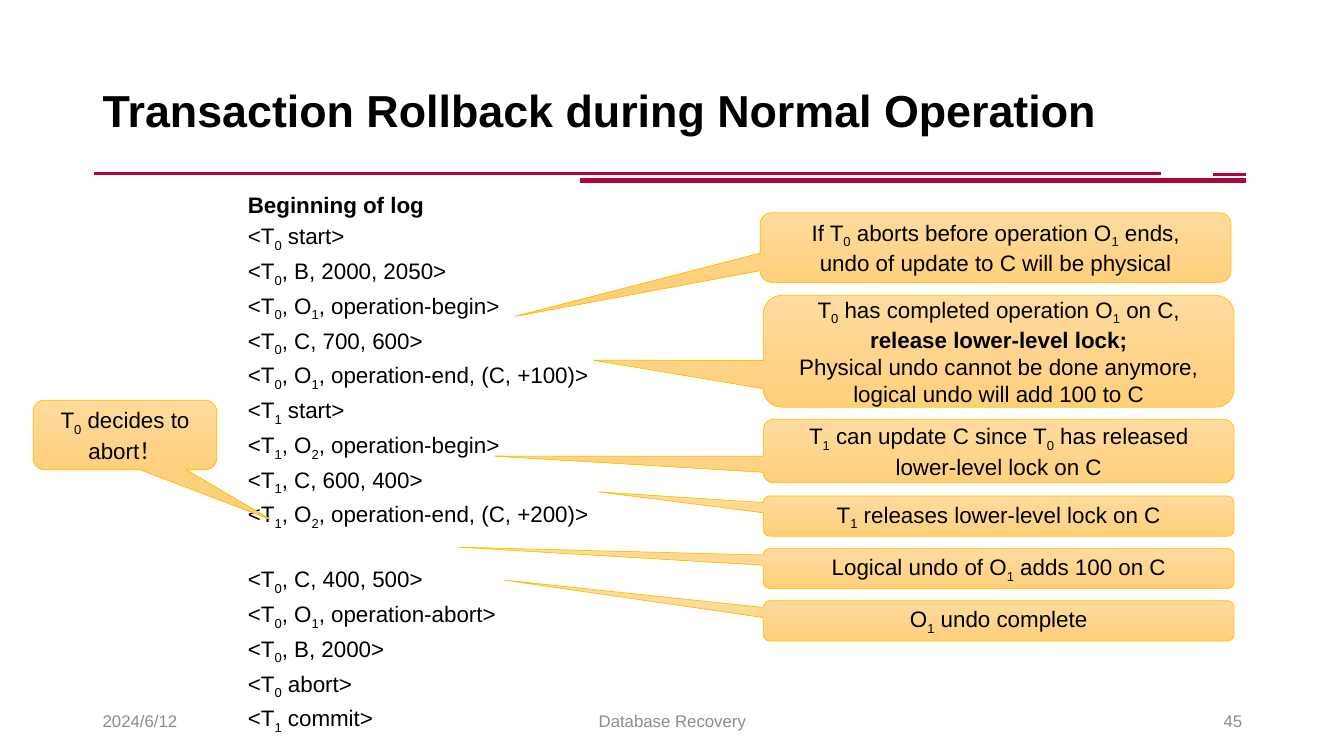
from pptx import Presentation
from pptx.dml.color import RGBColor as RGB
from pptx.enum.shapes import MSO_CONNECTOR as LINE, MSO_SHAPE as SHAPE
from pptx.enum.text import MSO_ANCHOR as ANCHOR, PP_ALIGN as ALIGN
from pptx.oxml.ns import qn
from pptx.util import Inches, Pt
from lxml import etree

RULES = [
    (0.93, 11.52, 1.72, 2),
    (5.75, 12.36, 1.79, 4),
    (12.03, 12.36, 1.73, 2),
]
FOOTER = [
    ("2024/6/12", 0.92, 3, ALIGN.LEFT),
    ("Database Recovery", 4.42, 4.5, ALIGN.CENTER),
    ("45", 9.42, 3, ALIGN.RIGHT),
]
LOG = [
    "Beginning of log",
    "<T_0 start>",
    "<T_0, B, 2000, 2050>",
    "<T_0, O_1, operation-begin>",
    "<T_0, C, 700, 600>",
    "<T_0, O_1, operation-end, (C, +100)>",
    "<T_1 start>",
    "<T_1, O_2, operation-begin>",
    "<T_1, C, 600, 400>",
    "<T_1, O_2, operation-end, (C, +200)>",
    "<T_0, C, 400, 500>",
    "<T_0, O_1, operation-abort>",
    "<T_0, B, 2000>",
    "<T_0 abort>",
    "<T_1 commit>",
]
UNDO = LOG.index("<T_0, C, 400, 500>")
FREED = "release lower-level lock;"
NOTES = [
    ((0.33, 3.97, 1.82, 0.69), (0.79, 1.21), ["T_0 decides to abort！"]),
    ((7.54, 2.11, 4.67, 0.69), (-1.02, 0.99),
     ["If T_0 aborts before operation O_1 ends,",
      "undo of update to C will be physical"]),
    ((7.57, 2.93, 4.67, 1.11), (-0.86, 0.08),
     ["T_0 has completed operation O_1 on C,", FREED,
      "Physical undo cannot be done anymore,",
      "logical undo will add 100 to C"]),
    ((7.57, 4.16, 4.67, 0.63), (-1.07, 0.08),
     ["T_1 can update C since T_0 has released lower-level lock on C"]),
    ((7.57, 4.92, 4.67, 0.4), (-0.85, -0.6),
     ["T_1 releases lower-level lock on C"]),
    ((7.57, 5.44, 4.67, 0.4), (-1.15, -0.53),
     ["Logical undo of O_1 adds 100 on C"]),
    ((7.57, 5.96, 4.67, 0.4), (-1.05, -1.01), ["O_1 undo complete"]),
]


def color(code):
    """Turn a hex string into a colour."""
    return RGB.from_string(code)


def add_run(para, text, size, tone, bold, sub=False):
    """Append one formatted run, lowered if it is a subscript."""
    run = para.add_run()
    run.text = text
    font = run.font
    font.name, font.size, font.bold = "Arial", Pt(size), bold
    font.color.rgb = color(tone)
    if sub:
        run._r.get_or_add_rPr().set("baseline", "-25000")


def write(frame, lines, size=16, tone="000000", align=ALIGN.LEFT,
          anchor=ANCHOR.MIDDLE, bold=()):
    """Fill a frame; the digit after each underscore is a subscript."""
    frame.word_wrap = True
    frame.vertical_anchor = anchor
    for i, line in enumerate(lines):
        para = frame.add_paragraph() if i else frame.paragraphs[0]
        para.alignment = align
        head, *parts = line.split("_")
        strong = line in bold
        add_run(para, head, size, tone, strong)
        for part in parts:
            add_run(para, part[0], size, tone, strong, sub=True)
            if part[1:]:
                add_run(para, part[1:], size, tone, strong)


def add_text(slide, box, lines, **style):
    """Add a text box and return its frame."""
    frame = slide.shapes.add_textbox(*map(Inches, box)).text_frame
    write(frame, lines, **style)
    return frame


def add_rule(slide, left, right, top, width):
    """Draw a horizontal red rule."""
    ends = map(Inches, (left, top, right, top))
    rule = slide.shapes.add_connector(LINE.STRAIGHT, *ends)
    rule.line.color.rgb = color("B20537")
    rule.line.width = Pt(width)
    etree.SubElement(rule._element.spPr, qn("a:effectLst"))


def add_note(slide, box, tip, lines):
    """Add a callout whose tail ends at the tip."""
    note = slide.shapes.add_shape(
        SHAPE.ROUNDED_RECTANGULAR_CALLOUT, *map(Inches, box))
    note.shadow.inherit = False
    note.adjustments[0], note.adjustments[1] = tip
    note.fill.gradient()
    note.fill.gradient_angle = 270
    for stop, tone in zip(note.fill.gradient_stops, ("FFDB9E", "FFD07C")):
        stop.color.rgb = color(tone)
    note.line.color.rgb = color("FFC000")
    note.line.width = Pt(0.5)
    write(note.text_frame, lines, align=ALIGN.CENTER, bold=(FREED,))


def add_log(slide):
    """List the log records, with a gap before the undo."""
    frame = add_text(slide, (2.36, 1.85, 4.31, 5.04), LOG,
                     anchor=ANCHOR.TOP, bold=LOG[:1])
    for i, para in enumerate(frame.paragraphs[1:], 1):
        para.space_before = Pt(24.5 if i == UNDO else 3)


def main():
    """Build the slide and save it."""
    deck = Presentation()
    deck.slide_width, deck.slide_height = Inches(13.33), Inches(7.5)
    slide = deck.slides.add_slide(deck.slide_layouts[6])
    for rule in RULES:
        add_rule(slide, *rule)
    title = "Transaction Rollback during Normal Operation"
    frame = add_text(slide, (0.92, 0.4, 11.5, 1.45), [title],
                     size=32, bold=(title,))
    frame.paragraphs[0].line_spacing = 0.9
    for text, left, width, align in FOOTER:
        add_text(slide, (left, 6.95, width, 0.4), [text],
                 size=12, tone="8C8C8C", align=align)
    add_log(slide)
    for note in NOTES:
        add_note(slide, *note)
    deck.save("out.pptx")


if __name__ == "__main__":
    main()
